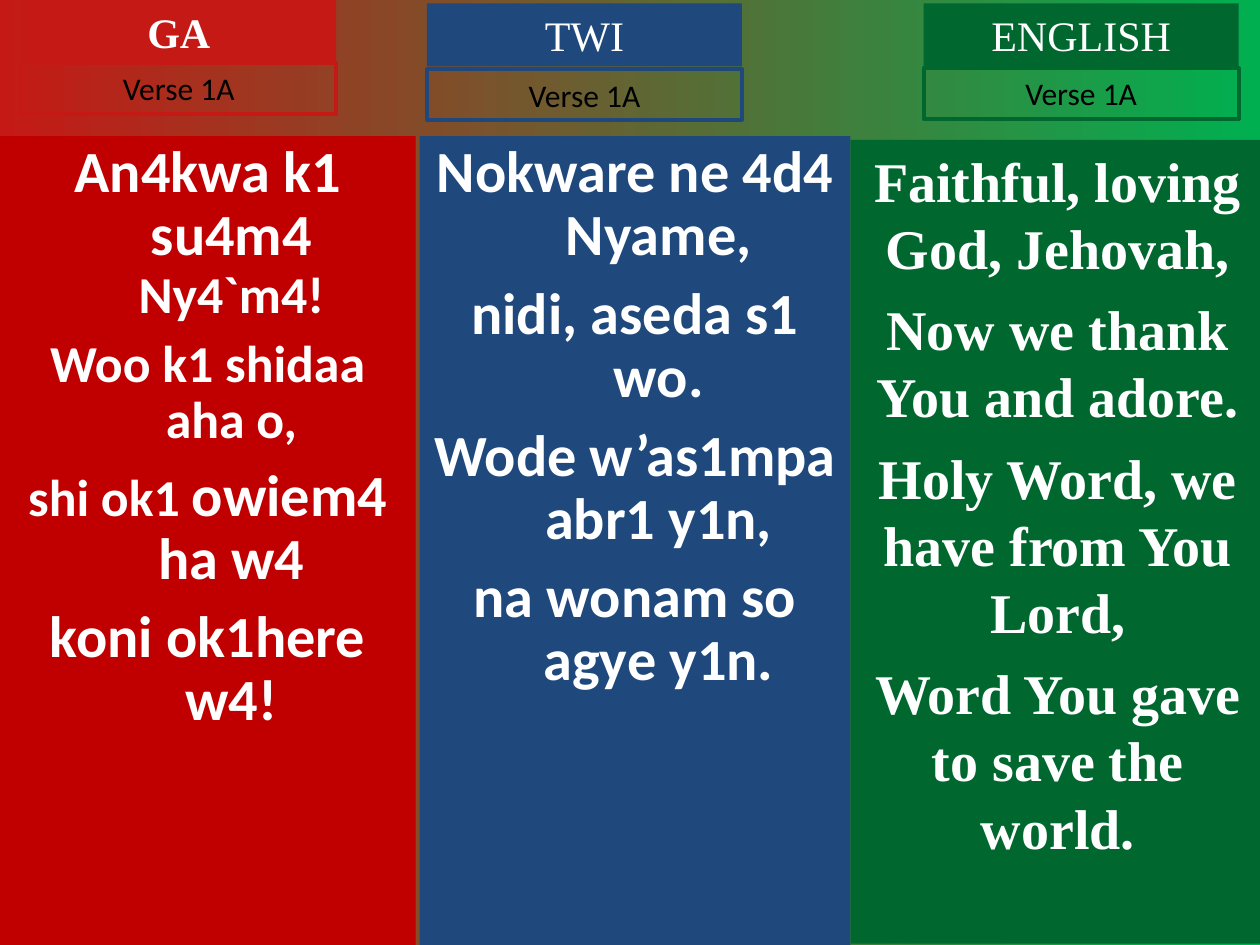
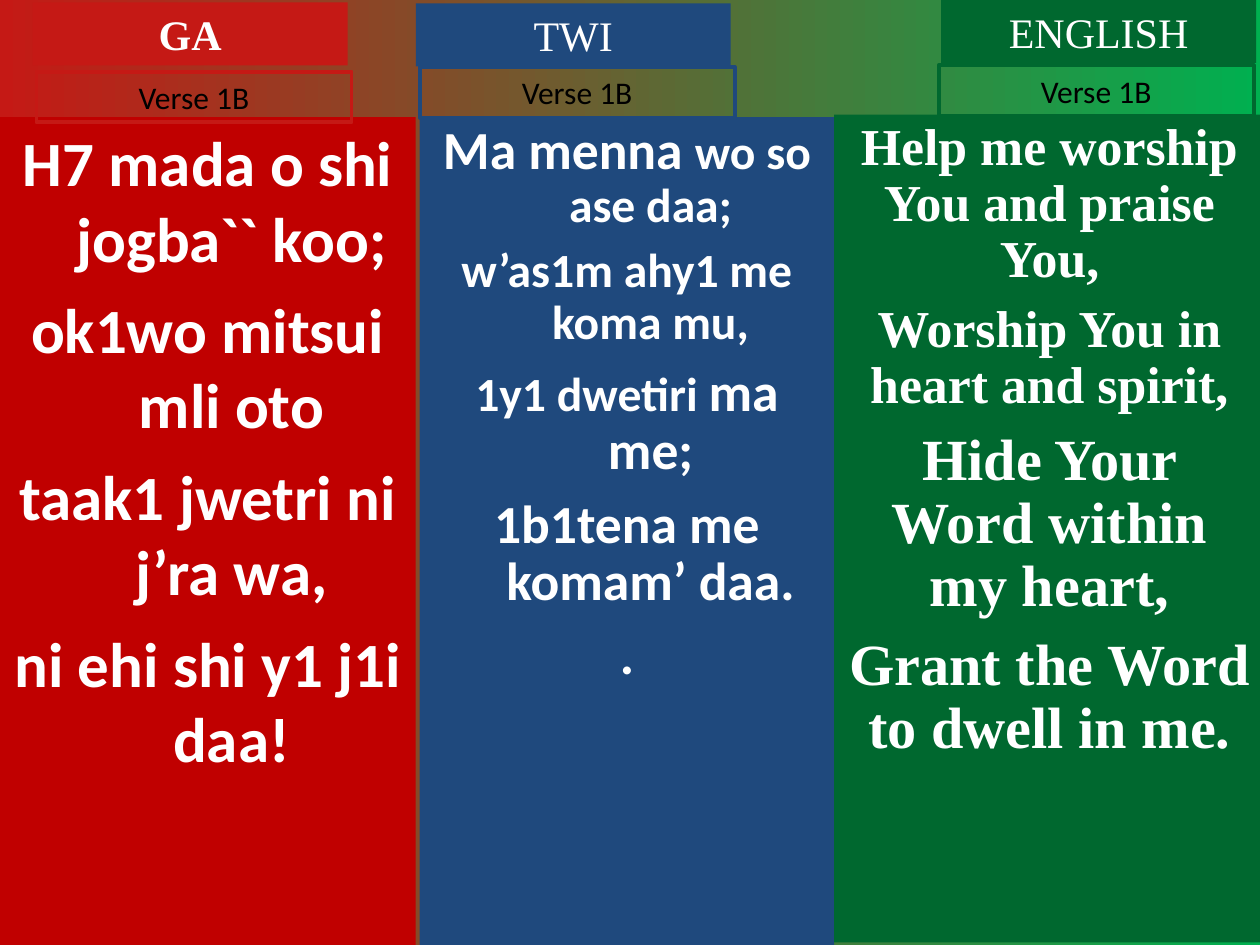
from dataclasses import dataclass
from pptx import Presentation
from pptx.dml.color import RGBColor
from pptx.enum.shapes import MSO_SHAPE
from pptx.enum.text import MSO_ANCHOR, MSO_AUTO_SIZE, PP_ALIGN
from pptx.util import Pt


@dataclass(frozen=True)
class Theme:
    red: str = "C51915"
    deep: str = "C00000"
    blue: str = "1F497D"
    green: str = "00682F"
    glow: str = "00B050"
    white: str = "FFFFFF"
    black: str = "000000"
    sans: str = "Calibri"
    serif: str = "Times New Roman"
    head: float = 24
    label: float = 18
    edge: float = 2.25
    hang: float = 27


@dataclass(frozen=True)
class Tongue:
    """Fixed look of one language column."""
    name: str
    tint: str
    panel: str
    font: str
    bold: bool = False
    hang: float = 0


@dataclass(frozen=True)
class Verse:
    """Boxes are (left, top, width, height); lines are (space before, runs)."""
    panel: tuple
    head: tuple
    label: tuple
    lines: list
    pitch: float = 0.9


T = Theme()
WIDE, HIGH = 720, 540
TAG_W, HEAD_H, LABEL_H = 180, 36, 29

TONGUES = [
    Tongue("GA", T.red, T.deep, T.sans, True, T.hang),
    Tongue("TWI", T.blue, T.blue, T.sans, False, T.hang),
    Tongue("ENGLISH", T.green, T.green, T.serif),
]

SONG = {
    "Verse 1A": [
        Verse((0, 77.8, 237.6, 462.2), (12.2, 0), (12.2, 36), [
            (0, [("An4kwa k1 su4m4 ", 33.3), ("Ny4`m4!", 29.6)]),
            (8, [("Woo k1 shidaa aha o,", 29.6)]),
            (9, [("shi ok1 ", 29.6), ("owiem4 ha w4", 33.3)]),
            (9, [("koni ok1here w4!", 33.3)]),
        ]),
        Verse((239.8, 77.8, 246.2, 462.2), (244, 2), (244, 39.6), [
            (0, [("Nokware ne 4d4 Nyame,", 33.3)]),
            (9, [("nidi, aseda s1 wo.", 33.3)]),
            (9, [("Wode w’as1mpa abr1 y1n,", 33.3)]),
            (9, [("na wonam so agye y1n.", 33.3)]),
        ]),
        Verse((486, 80, 236.9, 459.3), (527.8, 2), (527.8, 38.9), [
            (0, [("Faithful, loving God, Jehovah,", 32)]),
            (8, [("Now we thank You and adore.", 32)]),
            (8, [("Holy Word, we have from You Lord,", 32)]),
            (8, [("Word You gave to save the world.", 32)]),
        ], 1),
    ],
    "Verse 1B": [
        Verse((0, 67, 237.6, 473), (18.7, 1.4), (20.9, 41), [
            (0, [("H7 mada o shi jogba`` koo;", 36)]),
            (9, [("ok1wo mitsui mli oto", 36)]),
            (9, [("taak1 jwetri ni j’ra wa,", 36)]),
            (9, [("ni ehi shi y1 j1i daa!", 36)]),
        ], 1),
        Verse((239.8, 67, 236.9, 473), (237.6, 2), (239.8, 38.2), [
            (0, [("Ma menna ", 30.6), ("wo so ase daa;", 27.2)]),
            (8, [("w’as1m ahy1 me koma mu,", 27.2)]),
            (9, [("1y1 dwetiri ", 27.2), ("ma me;", 30.6)]),
            (9, [("1b1tena me komam’ daa.", 30.6)]),
            (9, [(".", 30.6)]),
        ]),
        Verse((476.7, 65.5, 246.2, 473), (537.8, 0), (536.4, 37.4), [
            (0, [("Help me worship You and praise You,", 29.6)]),
            (8, [("Worship You in heart and spirit,", 29.6)]),
            (9, [("Hide Your Word within my heart,", 33.3)]),
            (9, [("Grant the Word to dwell in me.", 33.3)]),
        ]),
    ],
}


def tint(name):
    return RGBColor.from_string(name)


def block(slide, box, fill=None, line=None):
    shape = slide.shapes.add_shape(MSO_SHAPE.RECTANGLE, *map(Pt, box))
    shape.shadow.inherit = False
    if fill:
        shape.fill.solid()
        shape.fill.fore_color.rgb = tint(fill)
    else:
        shape.fill.background()
    if line:
        shape.line.color.rgb = tint(line)
        shape.line.width = Pt(T.edge)
    else:
        shape.line.fill.background()
    frame = shape.text_frame
    frame.word_wrap = True
    frame.vertical_anchor = MSO_ANCHOR.TOP
    return frame


def write(para, text, size, font, color, bold=False):
    para.alignment = PP_ALIGN.CENTER
    run = para.add_run()
    run.text = text
    run.font.size = Pt(size)
    run.font.name = font
    run.font.bold = bold
    run.font.color.rgb = tint(color)


def panel(slide, tongue, verse):
    frame = block(slide, verse.panel, fill=tongue.panel)
    for num, (gap, runs) in enumerate(verse.lines):
        para = frame.add_paragraph() if num else frame.paragraphs[0]
        para.line_spacing = verse.pitch
        para.space_before = Pt(gap)
        if tongue.hang:
            props = para._p.get_or_add_pPr()
            props.set("marL", str(Pt(tongue.hang)))
            props.set("indent", str(-Pt(tongue.hang)))
        for text, size in runs:
            write(para, text, size, tongue.font, T.white, True)


def tags(slide, tongue, verse, title):
    """Language heading and the outlined verse label below it."""
    head = block(slide, (*verse.head, TAG_W, HEAD_H), fill=tongue.tint)
    write(head.paragraphs[0], tongue.name, T.head, T.serif, T.white, tongue.bold)
    label = block(slide, (*verse.label, TAG_W, LABEL_H), line=tongue.tint)
    write(label.paragraphs[0], title, T.label, T.sans, T.black)
    for frame in (head, label):
        frame.auto_size = MSO_AUTO_SIZE.SHAPE_TO_FIT_TEXT


def backdrop(master):
    fill = master.background.fill
    fill.gradient()
    fill.gradient_angle = 0
    for stop, color in zip(fill.gradient_stops, (T.red, T.glow)):
        stop.color.rgb = tint(color)


def main():
    deck = Presentation()
    deck.slide_width, deck.slide_height = Pt(WIDE), Pt(HIGH)
    backdrop(deck.slide_master)
    for title, verses in SONG.items():
        slide = deck.slides.add_slide(deck.slide_layouts[6])
        for tongue, verse in zip(TONGUES, verses):
            panel(slide, tongue, verse)
            tags(slide, tongue, verse, title)
    deck.save("out.pptx")


if __name__ == "__main__":
    main()
